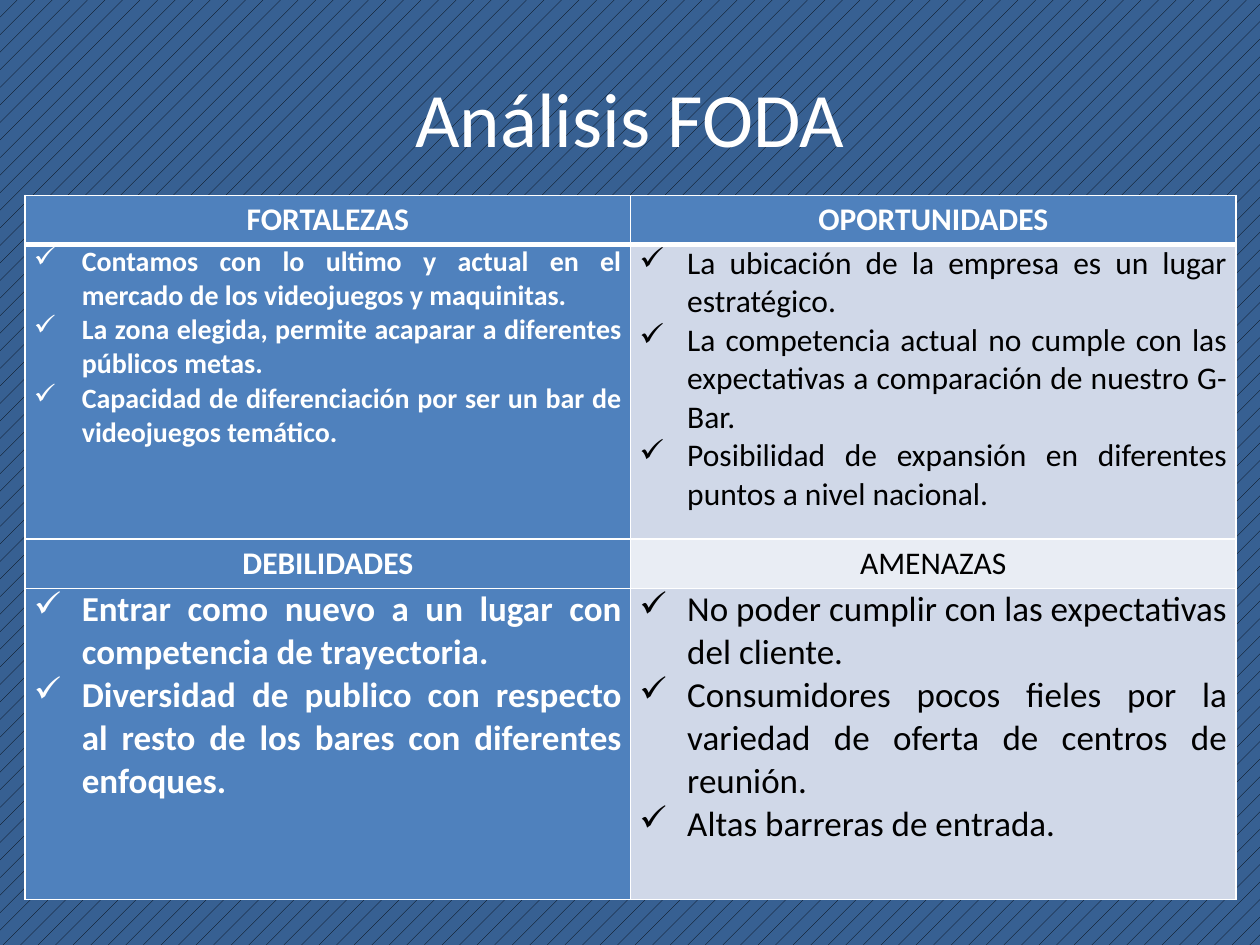
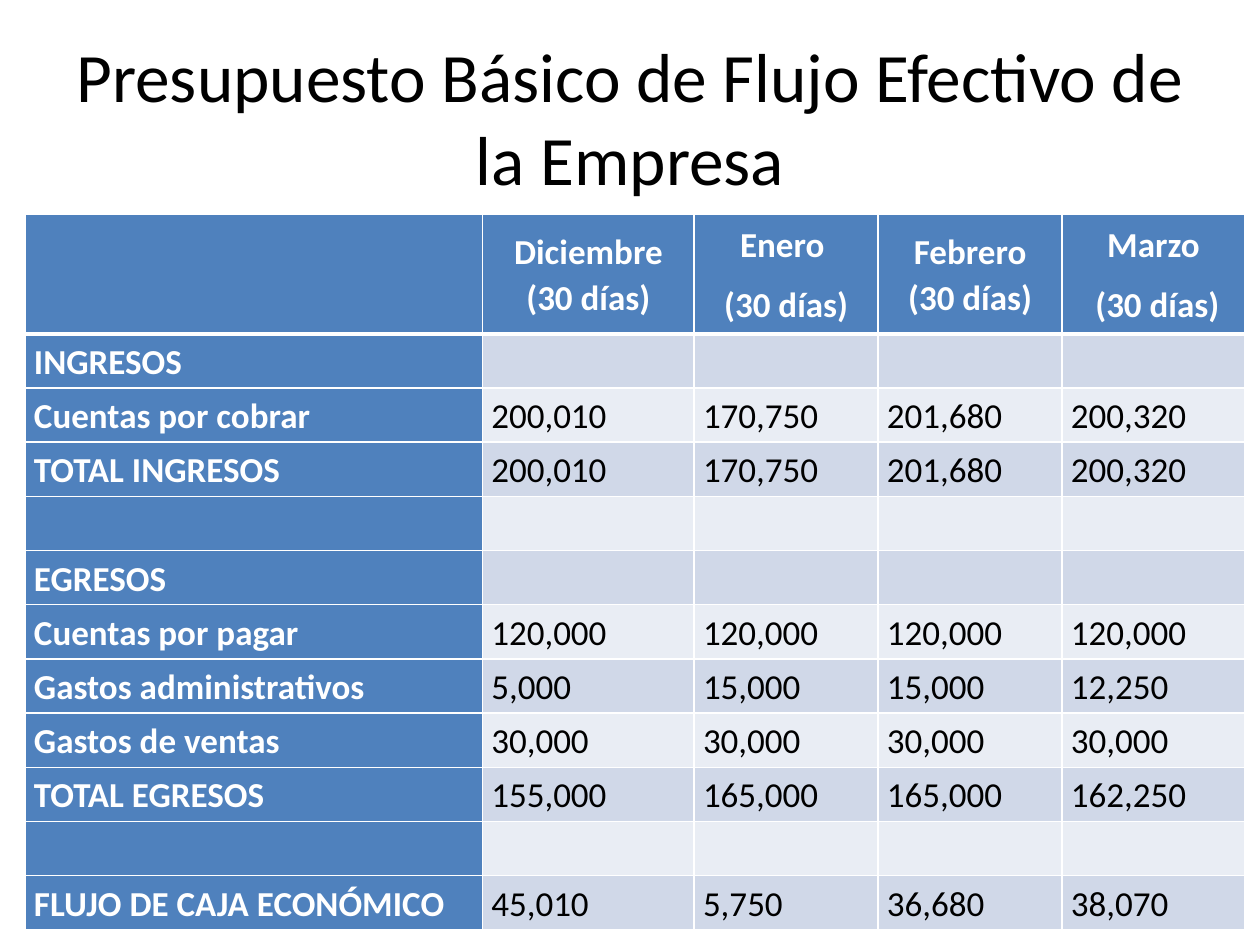
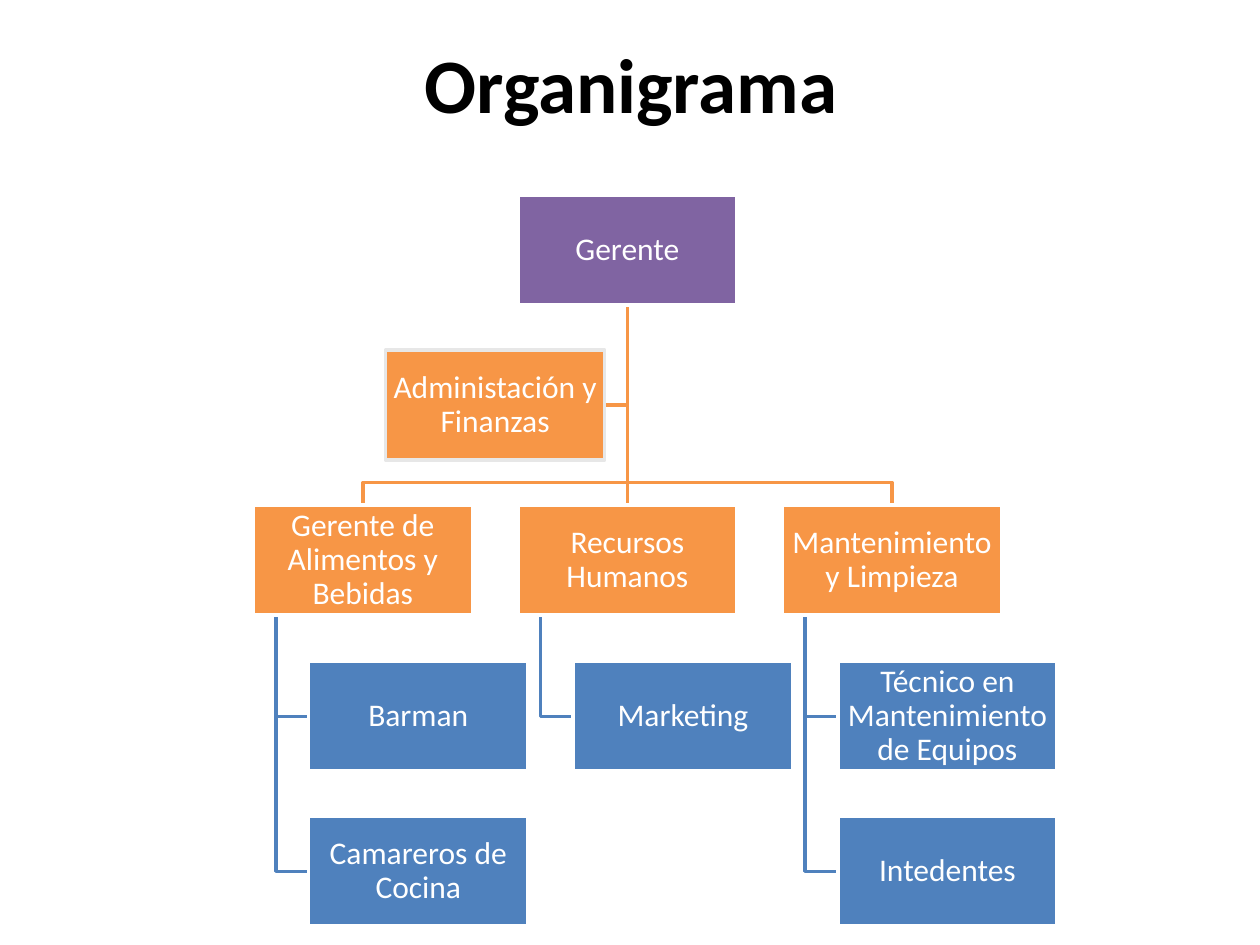
from lxml import etree
from pptx import Presentation
from pptx.dml.color import RGBColor
from pptx.enum.dml import MSO_PATTERN
from pptx.enum.shapes import MSO_CONNECTOR, MSO_SHAPE
from pptx.enum.text import MSO_ANCHOR, MSO_AUTO_SIZE, PP_ALIGN
from pptx.oxml import parse_xml
from pptx.oxml.ns import nsdecls, qn
from pptx.util import Inches, Pt

WHITE = RGBColor(0xFF, 0xFF, 0xFF)
BLACK = RGBColor(0, 0, 0)
NAVY = RGBColor(0x37, 0x60, 0x92)
BLUE = RGBColor(0x4F, 0x81, 0xBD)
BAND_DARK = RGBColor(0xD0, 0xD8, 0xE8)
BAND_LIGHT = RGBColor(0xE9, 0xED, 0xF4)
PURPLE = RGBColor(0x80, 0x64, 0xA2)
ORANGE = RGBColor(0xF7, 0x96, 0x46)
GRAY = RGBColor(0xE7, 0xE7, 0xE7)
FONT = "Calibri"


def write(frame, lines, size=18, color=BLACK, bold=False, align=PP_ALIGN.CENTER,
          bullet=None, line_spacing=None, space_after=None):
    frame.word_wrap = True
    for number, line in enumerate(lines):
        paragraph = frame.add_paragraph() if number else frame.paragraphs[0]
        paragraph.alignment = align
        paragraph.line_spacing = line_spacing
        paragraph.space_after = space_after
        if bullet:
            properties = paragraph._p.get_or_add_pPr()
            properties.set("marL", str(Inches(0.38)))
            properties.set("indent", str(-Inches(0.38)))
            etree.SubElement(properties, qn("a:buChar")).set("char", bullet)
        run = paragraph.add_run()
        run.text = line
        run.font.name = FONT
        run.font.size = Pt(size)
        run.font.bold = bold
        run.font.color.rgb = color


def style_cell(cell, row, fill, anchor=MSO_ANCHOR.MIDDLE):
    cell.margin_left = cell.margin_right = Inches(0.07)
    cell.margin_top = cell.margin_bottom = 0
    cell.vertical_anchor = anchor
    widths = {"L": 1, "R": 1, "T": 3 if row == 1 else 1, "B": 3 if row == 0 else 1}
    for side, width in widths.items():
        cell._tc.get_or_add_tcPr().append(parse_xml(
            f'<a:ln{side} {nsdecls("a")} w="{Pt(width)}"><a:solidFill>'
            f'<a:srgbClr val="{WHITE}"/></a:solidFill></a:ln{side}>'))
    cell.fill.solid()
    cell.fill.fore_color.rgb = fill


presentation = Presentation()
presentation.slide_width = Inches(10)
presentation.slide_height = Inches(7.5)

slides = []
for text, left, top, size, color, bold in [
    ("Análisis FODA", 0.5, 0.3, 44, WHITE, False),
    ("Presupuesto Básico de Flujo Efectivo de la Empresa", 0.5, 0.3, 39.6, BLACK, False),
    ("Organigrama", 0.51, 0.03, 44, BLACK, True),
]:
    slide = presentation.slides.add_slide(presentation.slide_layouts[5])
    slide.background.fill.solid()
    slide.background.fill.fore_color.rgb = WHITE
    title = slide.shapes.title
    title.left, title.top = Inches(left), Inches(top)
    title.width, title.height = Inches(9), Inches(1.25)
    title.text_frame.auto_size = MSO_AUTO_SIZE.NONE
    title.text_frame.vertical_anchor = MSO_ANCHOR.MIDDLE
    write(title.text_frame, [text], size=size, color=color, bold=bold)
    slides.append(slide)
foda_slide, budget_slide, chart_slide = slides

background = foda_slide.background.fill
background.patterned()
background.pattern = MSO_PATTERN.PERCENT_5
background.fore_color.rgb = BLACK
background.back_color.rgb = NAVY

FODA = [
    (0.39, 18, 18, ["FORTALEZAS"], ["OPORTUNIDADES"]),
    (2.34, 16, 18,
     ["Contamos con lo ultimo y actual en el mercado de los videojuegos y maquinitas.",
      "La zona elegida, permite acaparar a diferentes públicos metas.",
      "Capacidad de diferenciación por ser un bar de videojuegos temático."],
     ["La ubicación de la empresa es un lugar estratégico.",
      "La competencia actual no cumple con las expectativas a comparación de nuestro G-Bar.",
      "Posibilidad de expansión en diferentes puntos a nivel nacional."]),
    (0.39, 18, 18, ["DEBILIDADES"], ["AMENAZAS"]),
    (2.47, 20, 20,
     ["Entrar como nuevo a un lugar con competencia de trayectoria.",
      "Diversidad de publico con respecto al resto de los bares con diferentes enfoques."],
     ["No poder cumplir con las expectativas del cliente.",
      "Consumidores pocos fieles por la variedad de oferta de centros de reunión.",
      "Altas barreras de entrada."]),
]
foda = foda_slide.shapes.add_table(
    4, 2, Inches(0.2), Inches(1.55), Inches(9.61), Inches(5.59)).table
for row, (height, left_size, right_size, left_lines, right_lines) in enumerate(FODA):
    foda.rows[row].height = Inches(height)
    is_list = row % 2 == 1
    for column, (size, lines) in enumerate([(left_size, left_lines), (right_size, right_lines)]):
        strong = row == 0 or column == 0
        band = BAND_DARK if is_list else BAND_LIGHT
        cell = foda.cell(row, column)
        style_cell(cell, row, BLUE if strong else band,
                   MSO_ANCHOR.TOP if is_list else MSO_ANCHOR.MIDDLE)
        write(cell.text_frame, lines, size=size, color=WHITE if strong else BLACK, bold=strong,
              align=PP_ALIGN.JUSTIFY if is_list else PP_ALIGN.CENTER,
              bullet="✓" if is_list else None)

BUDGET = [
    ["", "Diciembre (30 días)", "Enero \n(30 días)", "Febrero (30 días)", "Marzo\n (30 días)"],
    ["INGRESOS", "", "", "", ""],
    ["Cuentas por cobrar", "200,010", "170,750", "201,680", "200,320"],
    ["TOTAL INGRESOS", "200,010", "170,750", "201,680", "200,320"],
    ["", "", "", "", ""],
    ["EGRESOS", "", "", "", ""],
    ["Cuentas por pagar", "120,000", "120,000", "120,000", "120,000"],
    ["Gastos administrativos", "5,000", "15,000", "15,000", "12,250"],
    ["Gastos de ventas", "30,000", "30,000", "30,000", "30,000"],
    ["TOTAL EGRESOS", "155,000", "165,000", "165,000", "162,250"],
    ["", "", "", "", ""],
    ["FLUJO DE CAJA ECONÓMICO", "45,010", "5,750", "36,680", "38,070"],
]
budget = budget_slide.shapes.add_table(
    len(BUDGET), 5, Inches(0.2), Inches(1.7), Inches(9.69), Inches(5.67)).table
for column, width in enumerate([3.63, 1.68, 1.46, 1.46, 1.45]):
    budget.columns[column].width = Inches(width)
for row, values in enumerate(BUDGET):
    budget.rows[row].height = Inches(0.43 if row else 0.95)
    for column, value in enumerate(values):
        strong = row == 0 or column == 0
        cell = budget.cell(row, column)
        style_cell(cell, row, BLUE if strong else BAND_DARK if row % 2 else BAND_LIGHT)
        if value:
            write(cell.text_frame, value.split("\n"), size=20,
                  color=WHITE if strong else BLACK, bold=strong,
                  align=PP_ALIGN.LEFT if row else PP_ALIGN.CENTER,
                  line_spacing=1.07, space_after=Pt(8))

BOX_WIDTH, BOX_HEIGHT = 1.74, 0.87
MANAGER_TOP, ASSISTANT_TOP, AREA_TOP = 1.55, 2.78, 4.01
STAFF_TOPS = [5.25, 6.48]
CENTER = 4.98
BRANCH_Y = 3.83
AREAS = [
    ("Gerente de Alimentos y Bebidas", ["Barman", "Camareros de Cocina"]),
    ("Recursos Humanos", ["Marketing"]),
    ("Mantenimiento y Limpieza", ["Técnico en Mantenimiento de Equipos", "Intedentes"]),
]
manager_bottom = MANAGER_TOP + BOX_HEIGHT
assistant_y = ASSISTANT_TOP + BOX_HEIGHT / 2
boxes = [("Gerente", 4.11, MANAGER_TOP, PURPLE, WHITE),
         ("Administación y Finanzas", 3.06, ASSISTANT_TOP, ORANGE, GRAY)]
branches = [(ORANGE, [(CENTER, manager_bottom), (CENTER, assistant_y), (4.8, assistant_y)])]
for index, (area, staff) in enumerate(AREAS):
    left = 2.01 + 2.1 * index
    middle = left + BOX_WIDTH / 2
    boxes.append((area, left, AREA_TOP, ORANGE, WHITE))
    if index != 1:
        branches.append((ORANGE, [(CENTER, manager_bottom), (CENTER, BRANCH_Y),
                                  (middle, BRANCH_Y), (middle, AREA_TOP)]))
    for person, top in zip(staff, STAFF_TOPS):
        stem, staff_y = left + 0.18, top + BOX_HEIGHT / 2
        boxes.append((person, left + 0.44, top, BLUE, WHITE))
        branches.append((BLUE, [(stem, AREA_TOP + BOX_HEIGHT), (stem, staff_y),
                                (left + 0.44, staff_y)]))

for color, points in branches:
    start, *corners = [(Inches(x), Inches(y)) for x, y in points]
    builder = chart_slide.shapes.build_freeform(*start)
    builder.add_line_segments(corners, close=False)
    branch = builder.convert_to_shape()
    branch.shadow.inherit = False
    branch.fill.background()
    branch.line.color.rgb = color
    branch.line.width = Pt(2)

trunk = chart_slide.shapes.add_connector(
    MSO_CONNECTOR.STRAIGHT, Inches(CENTER), Inches(manager_bottom), Inches(CENTER), Inches(AREA_TOP))
trunk.line.color.rgb = ORANGE
trunk.line.width = Pt(2)
etree.SubElement(trunk._element.spPr, qn("a:effectLst"))

for text, left, top, fill, outline in boxes:
    box = chart_slide.shapes.add_shape(MSO_SHAPE.RECTANGLE, Inches(left), Inches(top),
                                       Inches(BOX_WIDTH), Inches(BOX_HEIGHT))
    box.shadow.inherit = False
    box.fill.solid()
    box.fill.fore_color.rgb = fill
    box.line.color.rgb = outline
    box.line.width = Pt(2)
    frame = box.text_frame
    frame.margin_left = frame.margin_right = frame.margin_top = frame.margin_bottom = Inches(0.01)
    frame.vertical_anchor = MSO_ANCHOR.MIDDLE
    write(frame, [text], color=WHITE, line_spacing=0.9)

presentation.save("out.pptx")
